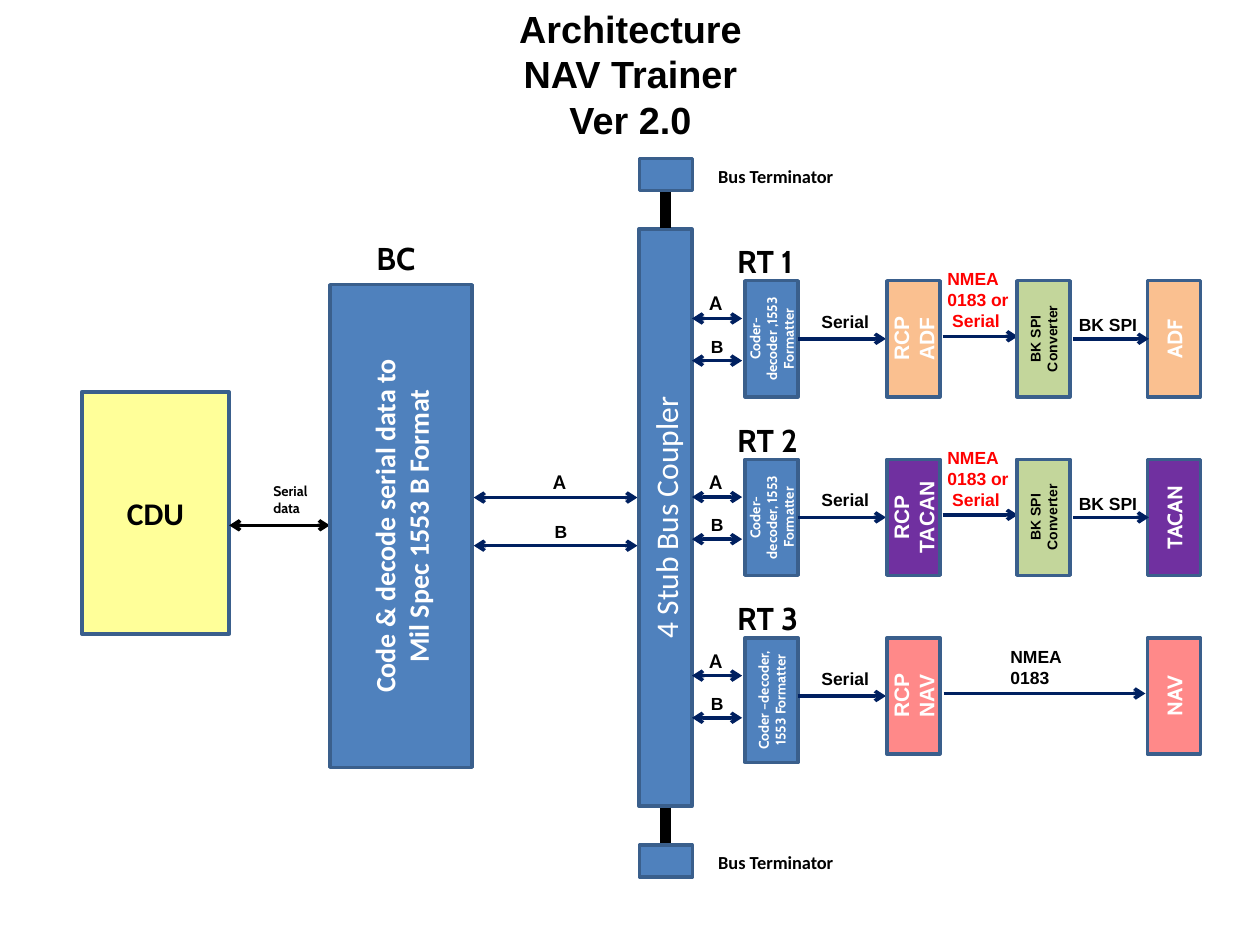
import lxml.etree
import pptx
import pptx.util
import pptx.dml.color
import pptx.enum.shapes
import pptx.enum.text
import pptx.oxml.ns
from pptx.util import Cm

COLORS = {
    "black": "000000", "white": "FFFFFF", "red": "FF0000", "navy": "002060",
    "blue": "4F81BD", "border": "3A5F8C", "yellow": "FFFF99",
    "orange": "FAC090", "purple": "7030A0", "pink": "FF8989", "green": "C3D69B",
}
ROW_TOP, ROW_PITCH = 5.66, 3.6
UNIT_WIDTH, UNIT_HEIGHT = 1.07, 2.34
# Coder text, coder height, instrument, fill, whether a converter is needed
CHANNELS = [
    ("Coder-decoder ,1553 Formatter", 2.34, "ADF", "orange", True),
    ("Coder-decoder, 1553 Formatter", 2.34, "TACAN", "purple", True),
    ("Coder \u2013decoder, 1553 Formatter", 2.51, "NAV", "pink", False),
]


def rgb(name):
    """Return the named colour."""
    return pptx.dml.color.RGBColor.from_string(COLORS[name])


def write(frame, text, size, font, color, bold=True, align=None):
    """Put text in a frame and format all its runs."""
    frame.text = text
    for para in frame.paragraphs:
        para.alignment = align
        for span in para.runs:
            span.font.size = pptx.util.Pt(size)
            span.font.name = font
            span.font.bold = bold
            span.font.color.rgb = rgb(color)


def add_box(page, left, top, width, height, fill, text="", size=12,
            font="Arial", color="white", bold=True, vertical=True):
    """Add a bordered block whose text may read upwards."""
    box = page.shapes.add_shape(pptx.enum.shapes.MSO_SHAPE.RECTANGLE,
                                Cm(left), Cm(top), Cm(width), Cm(height))
    box.shadow.inherit = False
    box.fill.solid()
    box.fill.fore_color.rgb = rgb(fill)
    box.line.color.rgb = rgb("border")
    box.line.width = pptx.util.Pt(2)
    frame = box.text_frame
    frame.word_wrap = True
    frame.vertical_anchor = pptx.enum.text.MSO_ANCHOR.MIDDLE
    if text:
        write(frame, text, size, font, color, bold,
              pptx.enum.text.PP_ALIGN.CENTER)
        if vertical:
            frame._txBody.bodyPr.set("vert", "vert270")


def add_label(page, left, top, width, height, text, size=10, font="Arial",
              color="black"):
    """Add an unwrapped, left-aligned caption."""
    box = page.shapes.add_textbox(Cm(left), Cm(top), Cm(width), Cm(height))
    box.text_frame.word_wrap = False
    box.text_frame.auto_size = pptx.enum.text.MSO_AUTO_SIZE.SHAPE_TO_FIT_TEXT
    write(box.text_frame, text, size, font, color)


def add_line(page, start, end, color="navy", width=2, ends=("tailEnd",)):
    """Add a straight line with open arrowheads at the named ends."""
    line = page.shapes.add_connector(
        pptx.enum.shapes.MSO_CONNECTOR.STRAIGHT,
        Cm(start[0]), Cm(start[1]), Cm(end[0]), Cm(end[1]))
    line.line.color.rgb = rgb(color)
    line.line.width = pptx.util.Pt(width)
    properties = line._element.spPr
    outline = properties.find(pptx.oxml.ns.qn("a:ln"))
    for end_name in ends:
        lxml.etree.SubElement(outline, pptx.oxml.ns.qn("a:" + end_name),
                              type="arrow")
    lxml.etree.SubElement(properties, pptx.oxml.ns.qn("a:effectLst"))


def add_arrow(page, left, right, y, both=False, color="navy"):
    """Add a horizontal arrow with one or two heads."""
    ends = ("headEnd", "tailEnd") if both else ("tailEnd",)
    add_line(page, (left, y), (right, y), color, ends=ends)


def add_title(page):
    """Add the centred three-line title."""
    box = page.shapes.add_textbox(Cm(9.32), Cm(0.64), Cm(6.78), Cm(1.7))
    frame = box.text_frame
    frame.word_wrap = True
    frame.vertical_anchor = pptx.enum.text.MSO_ANCHOR.MIDDLE
    write(frame, "Architecture\vNAV Trainer\vVer 2.0", 21.6, "Arial", "black",
          align=pptx.enum.text.PP_ALIGN.CENTER)


def add_bus_pair(page, left, right, y_a, y_b, label_left):
    """Add the A and B bus arrows with their letters."""
    add_arrow(page, left, right, y_a, both=True)
    add_arrow(page, left, right, y_b, both=True)
    add_label(page, label_left, y_a - 0.7, 0.76, 0.76, "A", 12, "Calibri")
    add_label(page, label_left + 0.03, y_b - 0.63, 0.76, 0.69, "B")


def add_controller(page):
    """Add the display unit, bus controller and their links."""
    add_box(page, 1.65, 7.9, 2.97, 4.88, "yellow", "CDU", 18, "Calibri",
            "black", vertical=False)
    add_arrow(page, 4.62, 6.65, 10.59, both=True, color="black")
    add_label(page, 5.26, 9.6, 1.42, 0.94, "Serial\ndata", 8, "Cabin")
    add_box(page, 6.65, 5.74, 2.87, 9.73, "blue",
            "Code & decode serial data to\nMil Spec 1553 B Format",
            16, "Calibri")
    add_label(page, 7.34, 4.7, 1.37, 1.02, "BC", 18, "Cabin")
    add_bus_pair(page, 9.55, 12.85, 10.03, 11.0, 10.9)


def add_coupler(page):
    """Add the bus coupler and a terminator at each end."""
    add_box(page, 12.88, 4.62, UNIT_WIDTH, 11.63, "blue",
            "4 Stub Bus Coupler", 18, "Calibri", bold=False)
    for terminator_top, stub_top in ((3.2, 3.84), (17.04, 16.28)):
        add_line(page, (13.41, stub_top), (13.41, stub_top + 0.76),
                 "black", 6.25, ends=())
        add_box(page, 12.89, terminator_top, UNIT_WIDTH, 0.64, "blue")
        add_label(page, 14.23, terminator_top, 3.02, 0.74, "Bus Terminator",
                  10.5, "Calibri")


def add_channel(page, number, coder, coder_height, name, fill, converted):
    """Add one remote terminal row, from the coupler to its instrument."""
    top = ROW_TOP + (number - 1) * ROW_PITCH
    add_bus_pair(page, 13.95, 14.96, top + 0.76, top + 1.61, 14.05)
    add_label(page, 14.61, top - 0.9, 1.98, 1.02, f"RT {number}", 18, "Cabin")
    add_box(page, 15.02, top, UNIT_WIDTH, coder_height, "blue", coder, 8,
            "Cabin")
    add_arrow(page, 16.08, 17.86, top + 1.17)
    add_label(page, 16.31, top + 0.48, 1.47, 0.69, "Serial")
    add_box(page, 17.88, top, UNIT_WIDTH, UNIT_HEIGHT, fill, f"RCP {name}")
    add_box(page, 23.13, top, UNIT_WIDTH, UNIT_HEIGHT, fill, name, 12, "Cabin")
    if converted:
        add_arrow(page, 19.0, 20.52, top + 1.12)
        add_label(page, 18.85, top - 0.38, 1.75, 1.55,
                  "NMEA\n0183 or\n Serial", color="red")
        add_box(page, 20.5, top, UNIT_WIDTH, UNIT_HEIGHT, "green",
                "BK SPI Converter", 8, color="black")
        add_arrow(page, 21.64, 23.16, top + 1.17)
        add_label(page, 21.5, top + 0.55, 1.7, 0.69, "BK SPI")
    else:
        add_arrow(page, 19.02, 23.09, top + 1.12)
        add_label(page, 20.12, top + 0.04, 1.57, 1.12, "NMEA\n0183")


def main():
    """Build the architecture slide."""
    deck = pptx.Presentation()
    deck.slide_width, deck.slide_height = Cm(25.4), Cm(19.05)
    page = deck.slides.add_slide(deck.slide_layouts[6])
    add_title(page)
    add_controller(page)
    add_coupler(page)
    for number, channel in enumerate(CHANNELS, start=1):
        add_channel(page, number, *channel)
    deck.save("out.pptx")


main()
